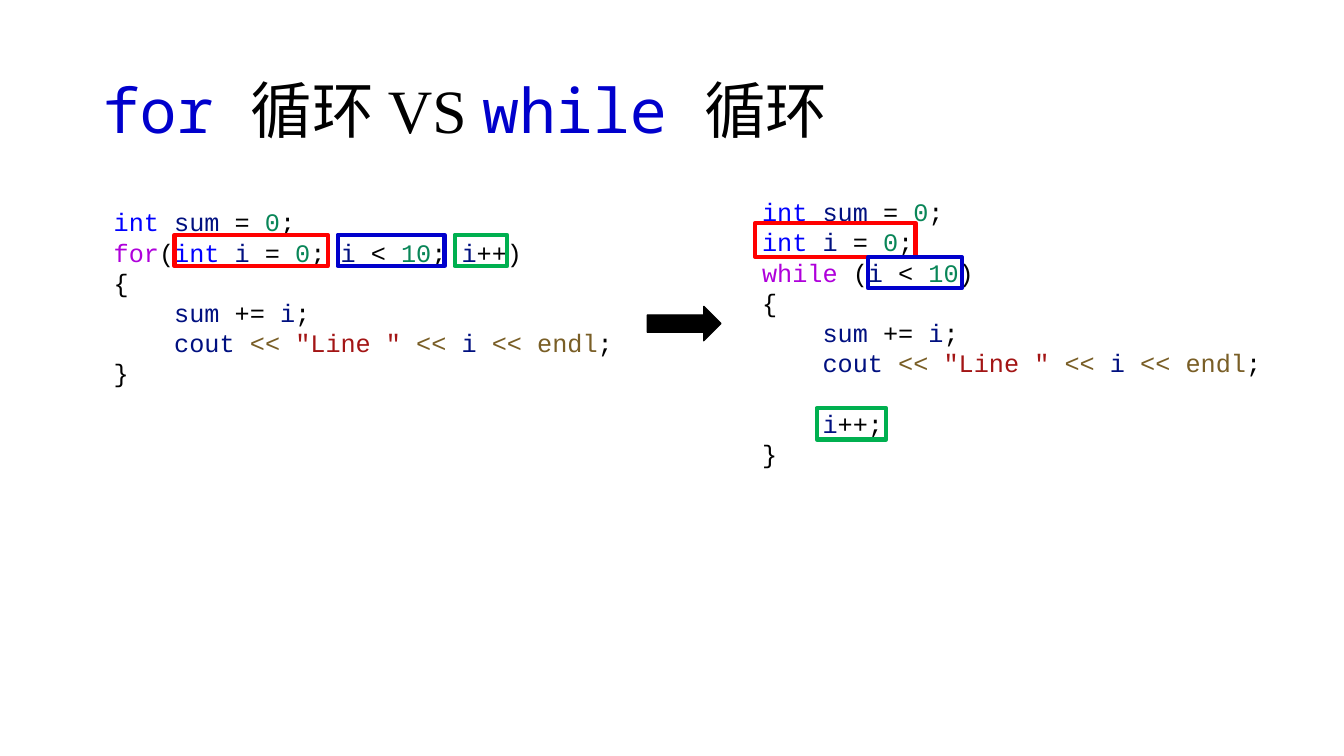
import pptx
import pptx.dml.color
import pptx.enum.shapes
import pptx.enum.text
import pptx.util

Inches = pptx.util.Inches
RGBColor = pptx.dml.color.RGBColor
SHAPE = pptx.enum.shapes.MSO_SHAPE
ANCHOR = pptx.enum.text.MSO_ANCHOR

BLACK = RGBColor(0x00, 0x00, 0x00)
RED = RGBColor(0xFF, 0x00, 0x00)
BLUE = RGBColor(0x00, 0x00, 0xCC)
GREEN = RGBColor(0x00, 0xB0, 0x50)
# Syntax colours
TYPE = RGBColor(0x00, 0x00, 0xFF)
VARIABLE = RGBColor(0x00, 0x10, 0x80)
NUMBER = RGBColor(0x09, 0x86, 0x58)
CONTROL = RGBColor(0xAF, 0x00, 0xDB)
OPERATOR = RGBColor(0x79, 0x5E, 0x26)
STRING = RGBColor(0xA3, 0x15, 0x15)

CODE_FONT = "Courier New"
KEYWORD_FONT = "Noto Sans Mono"
TITLE_FONT = "Times New Roman"

# Pieces of code shared by both loops: (text, colour)
ASSIGN_ZERO = [(" = ", BLACK), ("0", NUMBER)]
SUM_START = [("int ", TYPE), ("sum", VARIABLE), *ASSIGN_ZERO, (";", BLACK)]
COUNTER_START = [("int ", TYPE), ("i", VARIABLE), *ASSIGN_ZERO]
CONDITION = [("i", VARIABLE), (" < ", BLACK), ("10", NUMBER)]
BODY = [
    [("{", BLACK)],
    [("    sum", VARIABLE), (" += ", BLACK), ("i", VARIABLE), (";", BLACK)],
    [("    cout ", VARIABLE), ("<< ", OPERATOR), ('"Line " ', STRING),
     ("<< ", OPERATOR), ("i ", VARIABLE), ("<< endl", OPERATOR), (";", BLACK)],
]
END = [("}", BLACK)]

FOR_CODE = [
    SUM_START,
    [("for", CONTROL), ("(", BLACK), *COUNTER_START, ("; ", BLACK),
     *CONDITION, ("; ", BLACK), ("i", VARIABLE), ("++)", BLACK)],
    *BODY,
    END,
]
WHILE_CODE = [
    SUM_START,
    [*COUNTER_START, (";", BLACK)],
    [("while", CONTROL), (" (", BLACK), *CONDITION, (")", BLACK)],
    *BODY,
    [("\n    ", BLACK), ("i", VARIABLE), ("++;", BLACK)],
    END,
]


def add_text(paragraph, text, *, font, size, color):
    """Add text to a paragraph; a newline becomes a line break."""
    for index, part in enumerate(text.split("\n")):
        if index:
            paragraph.add_line_break()
        if part:
            run = paragraph.add_run()
            run.text = part
            run.font.name = font
            run.font.size = pptx.util.Pt(size)
            run.font.color.rgb = color


def add_text_frame(slide, left, top, width, height, anchor=ANCHOR.TOP):
    box = slide.shapes.add_textbox(
        Inches(left), Inches(top), Inches(width), Inches(height))
    box.text_frame.word_wrap = True
    box.text_frame.vertical_anchor = anchor
    return box.text_frame


def add_title(slide, left, top, width, height):
    frame = add_text_frame(slide, left, top, width, height, ANCHOR.MIDDLE)
    paragraph = frame.paragraphs[0]
    paragraph.line_spacing = 0.9
    for keyword, rest in (("for ", "循环 VS "), ("while ", "循环")):
        add_text(paragraph, keyword, font=KEYWORD_FONT, size=44, color=BLUE)
        add_text(paragraph, rest, font=TITLE_FONT, size=44, color=BLACK)


def add_shape(slide, kind, left, top, width, height, color, line_width, filled=False):
    shape = slide.shapes.add_shape(
        kind, Inches(left), Inches(top), Inches(width), Inches(height))
    shape.shadow.inherit = False
    if filled:
        shape.fill.solid()
        shape.fill.fore_color.rgb = color
    else:
        shape.fill.background()
    shape.line.color.rgb = color
    shape.line.width = pptx.util.Pt(line_width)


def add_code(slide, left, top, width, height, lines, frames, indent=0):
    """Place code and its highlight frames: (x, y, width, height, colour)."""
    text_frame = add_text_frame(slide, left, top, width, height)
    for index, line in enumerate(lines):
        paragraph = text_frame.add_paragraph() if index else text_frame.paragraphs[0]
        if indent:
            paragraph._p.get_or_add_pPr().set("marL", str(Inches(indent)))
        for text, color in line:
            add_text(paragraph, text, font=CODE_FONT, size=18, color=color)
    for x, y, frame_width, frame_height, color in frames:
        add_shape(slide, SHAPE.RECTANGLE, left + x, top + y,
                  frame_width, frame_height, color, 3)


def main():
    presentation = pptx.Presentation()
    presentation.slide_width = Inches(13.33)
    presentation.slide_height = Inches(7.5)
    slide = presentation.slides.add_slide(presentation.slide_layouts[6])

    add_title(slide, 0.92, 0.4, 11.5, 1.45)
    # The for loop
    add_code(slide, 0.78, 2, 5.64, 1.92, FOR_CODE, [
        (0.95, 0.33, 1.52, 0.31, RED),
        (2.57, 0.33, 1.06, 0.31, BLUE),
        (3.73, 0.33, 0.52, 0.31, GREEN),
    ], indent=0.25)
    # Arrow from one loop to the other
    add_shape(slide, SHAPE.RIGHT_ARROW, 6.42, 3.04, 0.73, 0.34, BLACK, 1, filled=True)
    # The equivalent while loop
    add_code(slide, 7.46, 1.9, 5.42, 2.83, WHILE_CODE, [
        (0.03, 0.31, 1.59, 0.34, RED),
        (1.15, 0.65, 0.93, 0.31, BLUE),
        (0.64, 2.15, 0.69, 0.31, GREEN),
    ])

    presentation.save("out.pptx")


if __name__ == "__main__":
    main()
